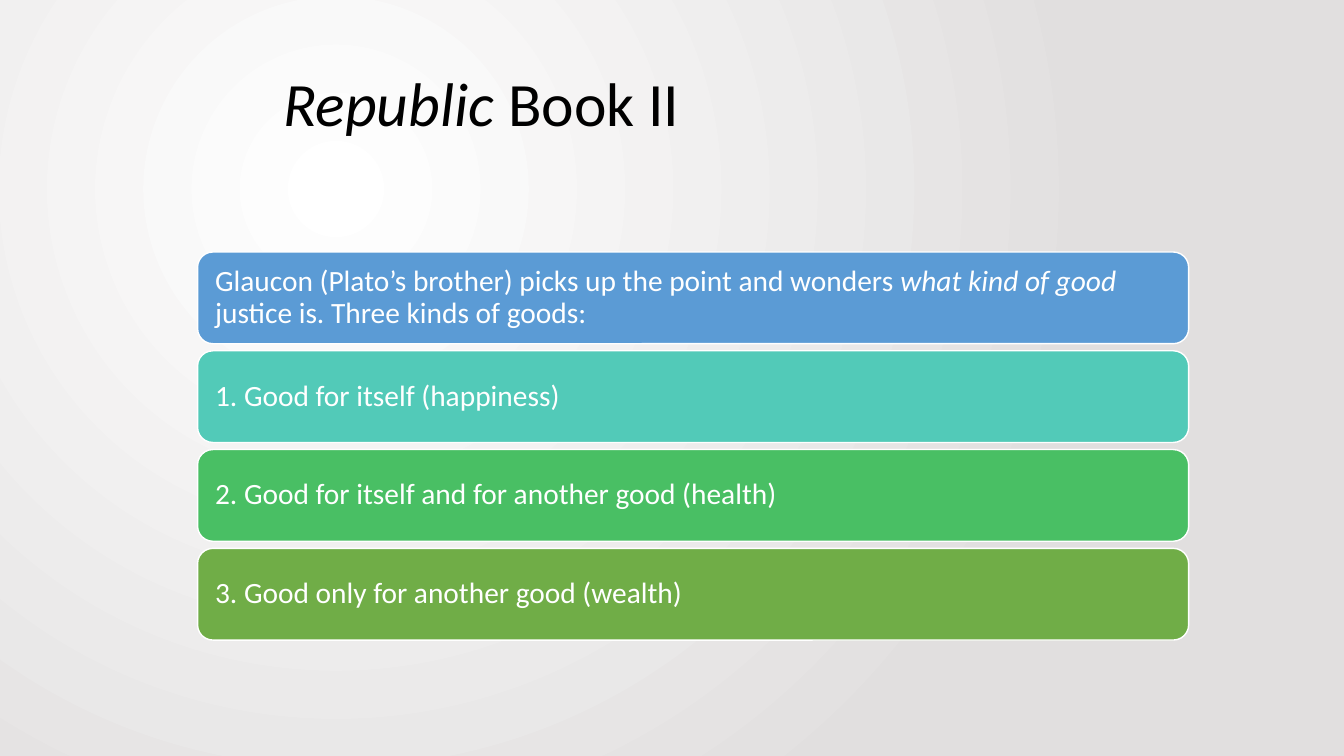
from dataclasses import dataclass

from lxml.etree import SubElement
from pptx import Presentation
from pptx.dml.color import RGBColor
from pptx.enum.shapes import MSO_SHAPE
from pptx.enum.text import MSO_ANCHOR, MSO_AUTO_SIZE, PP_ALIGN
from pptx.oxml.ns import qn
from pptx.slide import Slide
from pptx.text.text import TextFrame
from pptx.util import Inches, Pt

FONT = "Calibri"
COLORS = {
    "white": "FFFFFF",
    "black": "000000",
    "gray": "E1DFDF",
    "blue": "5B9BD5",
    "teal": "52CAB8",
    "green": "49BF64",
    "olive": "70AD47",
}
BAR_LEFT, BAR_TOP = 1.96, 2.5
BAR_WIDTH, BAR_HEIGHT = 9.83, 0.91
BAR_PITCH = 0.98


@dataclass(frozen=True)
class Phrase:
    text: str
    italic: bool = False


@dataclass(frozen=True)
class Bar:
    color: str
    phrases: tuple[Phrase, ...]


TITLE = (Phrase("Republic ", italic=True), Phrase("Book II"))
BARS = (
    Bar("blue", (
        Phrase("Glaucon (Plato’s brother) picks up the point and wonders "),
        Phrase("what kind of good ", italic=True),
        Phrase("justice is. Three kinds of goods:"),
    )),
    Bar("teal", (Phrase("1. Good for itself (happiness)"),)),
    Bar("green", (Phrase("2. Good for itself and for another good (health)"),)),
    Bar("olive", (Phrase("3. Good only for another good (wealth)"),)),
)


def rgb(name: str) -> RGBColor:
    return RGBColor.from_string(COLORS[name])


def write_phrases(frame: TextFrame, phrases: tuple[Phrase, ...], size: int, color: str) -> None:
    frame.word_wrap = True
    frame.auto_size = MSO_AUTO_SIZE.NONE
    paragraph = frame.paragraphs[0]
    paragraph.alignment = PP_ALIGN.LEFT
    paragraph.line_spacing = 0.9
    for phrase in phrases:
        run = paragraph.add_run()
        run.text = phrase.text
        run.font.name = FONT
        run.font.size = Pt(size)
        run.font.italic = phrase.italic
        run.font.color.rgb = rgb(color)


def paint_background(slide: Slide) -> None:
    """Fill the slide with a circular gradient centred in its upper left quarter."""
    fill = slide.background.fill
    fill.gradient()
    for stop, color in zip(fill.gradient_stops, ("white", "gray")):
        stop.color.rgb = rgb(color)
    gradient = slide.element.find(".//" + qn("a:gradFill"))
    gradient.remove(gradient.find(qn("a:lin")))
    circle = SubElement(gradient, qn("a:path"), {"path": "circle"})
    SubElement(circle, qn("a:fillToRect"),
               {"l": "50000", "t": "50000", "r": "100000", "b": "100000"})


def place_title(slide: Slide) -> None:
    title = slide.shapes.title
    title.left, title.top = Inches(2.71), Inches(0.68)
    title.width, title.height = Inches(10.62), Inches(1.4)
    title.text_frame.vertical_anchor = MSO_ANCHOR.TOP
    write_phrases(title.text_frame, TITLE, 44, "black")


def add_bar(slide: Slide, bar: Bar, top: float) -> None:
    shape = slide.shapes.add_shape(
        MSO_SHAPE.ROUNDED_RECTANGLE,
        Inches(BAR_LEFT), Inches(top), Inches(BAR_WIDTH), Inches(BAR_HEIGHT))
    shape.shadow.inherit = False
    shape.fill.solid()
    shape.fill.fore_color.rgb = rgb(bar.color)
    shape.line.color.rgb = rgb("white")
    shape.line.width = Pt(1)
    frame = shape.text_frame
    frame.vertical_anchor = MSO_ANCHOR.MIDDLE
    frame.margin_left = frame.margin_right = Inches(0.13)
    frame.margin_top = frame.margin_bottom = Inches(0.13)
    write_phrases(frame, bar.phrases, 21, "white")


def main() -> None:
    presentation = Presentation()
    presentation.slide_width = Inches(13.33)
    presentation.slide_height = Inches(7.5)
    slide = presentation.slides.add_slide(presentation.slide_layouts.get_by_name("Title Only"))
    paint_background(slide)
    place_title(slide)
    for index, bar in enumerate(BARS):
        add_bar(slide, bar, BAR_TOP + index * BAR_PITCH)
    presentation.save("out.pptx")


if __name__ == "__main__":
    main()
